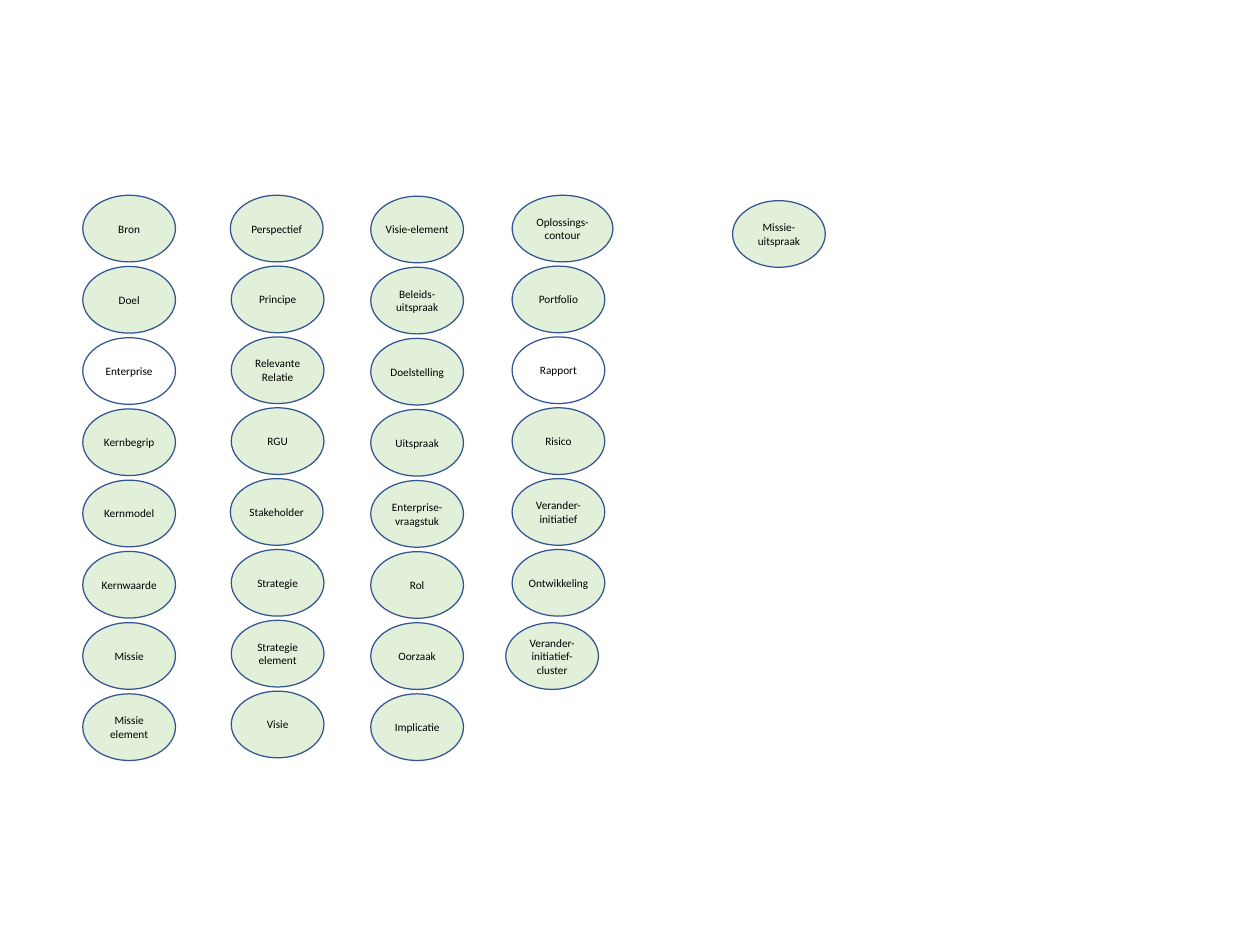
from pptx import Presentation
from pptx.dml.color import RGBColor
from pptx.enum.shapes import MSO_SHAPE
from pptx.enum.text import MSO_ANCHOR, PP_ALIGN
from pptx.util import Inches, Pt

ELLIPSE = MSO_SHAPE.OVAL
MIDDLE = MSO_ANCHOR.MIDDLE
CENTER = PP_ALIGN.CENTER

SLIDE_WIDTH, SLIDE_HEIGHT = 14, 10.5
CONCEPT_WIDTH, CONCEPT_HEIGHT = 1.03, 0.74
WIDE_CONCEPT = 1.12
GRID_ROWS = 8
GREEN, BLUE, BLACK = "E2F0D9", "325491", "000000"

# Left edge, top of the first row, top of the eighth row, concepts
COLUMNS = [
    (0.92, 2.17, 7.71, ["Bron", "Doel", "Enterprise", "Kernbegrip", "Kernmodel",
                        "Kernwaarde", "Missie", "Missie\nelement"]),
    (2.57, 2.17, 7.68, ["Perspectief", "Principe", "Relevante Relatie", "RGU",
                        "Stakeholder", "Strategie", "Strategie element", "Visie"]),
    (4.12, 2.18, 7.71, ["Visie-element", "Beleids-uitspraak", "Doelstelling",
                        "Uitspraak", "Enterprise-vraagstuk", "Rol", "Oorzaak",
                        "Implicatie"]),
    (5.69, 2.17, 7.68, ["Oplossings-contour", "Portfolio", "Rapport", "Risico",
                        "Verander-initiatief", "Ontwikkeling"]),
]
LOOSE_CONCEPTS = [
    (8.14, 2.23, "Missie-uitspraak"),
    (5.62, 6.92, "Verander-initiatief-cluster"),
]
UNFILLED = {"Enterprise", "Rapport"}
LEFT_SHIFTS = {"Perspectief": -0.01, "Stakeholder": -0.01}
WIDTHS = {"Oplossings-contour": WIDE_CONCEPT}


def color(hex_value):
    return RGBColor.from_string(hex_value)


def write_text(shape, text):
    """Centre the text in the shape, one paragraph for each line."""
    frame = shape.text_frame
    frame.word_wrap = True
    frame.vertical_anchor = MIDDLE
    frame.margin_left = frame.margin_right = 0
    frame.margin_top = frame.margin_bottom = 0
    for index, line in enumerate(text.split("\n")):
        paragraph = frame.add_paragraph() if index else frame.paragraphs[0]
        paragraph.alignment = CENTER
        run = paragraph.add_run()
        run.text = line
        run.font.name = "Calibri"
        run.font.size = Pt(9)
        run.font.color.rgb = color(BLACK)


def add_concept(slide, left, top, text):
    width = WIDTHS.get(text, CONCEPT_WIDTH)
    shape = slide.shapes.add_shape(ELLIPSE, Inches(left), Inches(top),
                                   Inches(width), Inches(CONCEPT_HEIGHT))
    shape.shadow.inherit = False
    if text in UNFILLED:
        shape.fill.background()
    else:
        shape.fill.solid()
        shape.fill.fore_color.rgb = color(GREEN)
    shape.line.color.rgb = color(BLUE)
    shape.line.width = Pt(1)
    write_text(shape, text)


def add_column(slide, left, first_top, last_top, concepts):
    row_step = (last_top - first_top) / (GRID_ROWS - 1)
    for row, text in enumerate(concepts):
        add_concept(slide, left + LEFT_SHIFTS.get(text, 0),
                    first_top + row * row_step, text)


def main():
    presentation = Presentation()
    presentation.slide_width = Inches(SLIDE_WIDTH)
    presentation.slide_height = Inches(SLIDE_HEIGHT)
    slide = presentation.slides.add_slide(presentation.slide_layouts[6])
    for column in COLUMNS:
        add_column(slide, *column)
    for concept in LOOSE_CONCEPTS:
        add_concept(slide, *concept)
    presentation.save("out.pptx")


if __name__ == "__main__":
    main()
